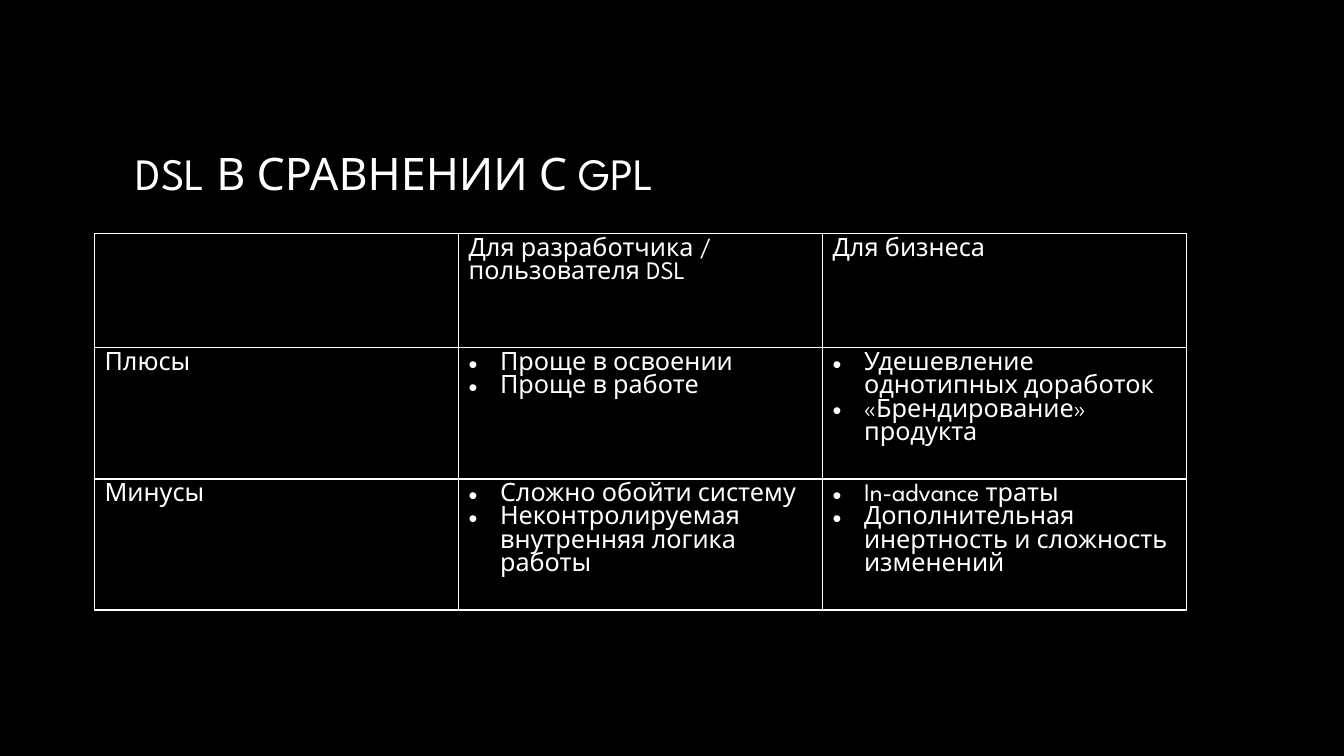
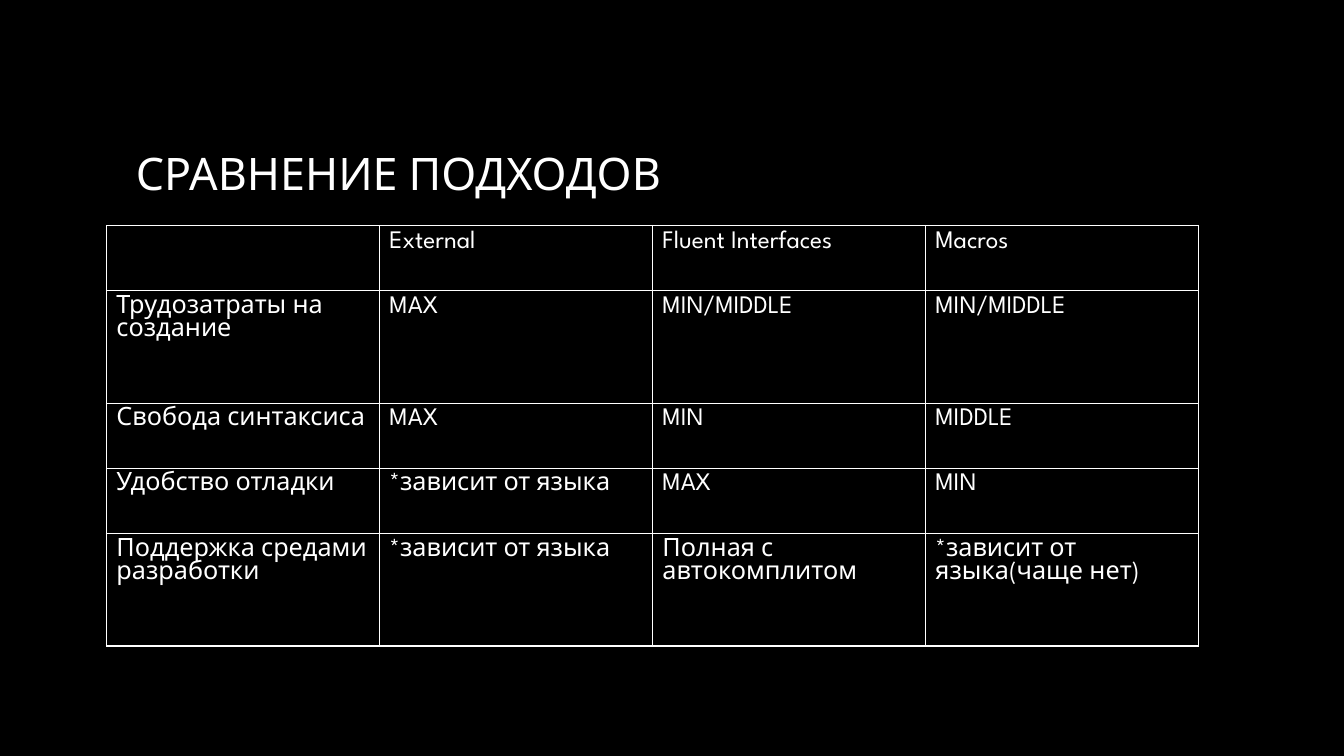
from lxml.etree import SubElement
from pptx import Presentation
from pptx.dml.color import RGBColor
from pptx.enum.text import MSO_ANCHOR
from pptx.oxml.ns import qn
from pptx.util import Pt

BLACK = RGBColor(0x00, 0x00, 0x00)
WHITE = RGBColor(0xFF, 0xFF, 0xFF)
GREY = RGBColor(0xA6, 0xA6, 0xA6)
FONT = "League Spartan"
TABLE_WIDTH = 780
BULLET_INDENT = Pt(22.5)

# Cells holding a tuple are bulleted lists.
DSL_VS_GPL = [
    ["", "Для разработчика / пользователя DSL", "Для бизнеса"],
    ["Плюсы",
     ("Проще в освоении", "Проще в работе"),
     ("Удешевление однотипных доработок", "«Брендирование» продукта")],
    ["Минусы",
     ("Сложно обойти систему", "Неконтролируемая внутренняя логика работы"),
     ("In-advance траты", "Дополнительная инертность и сложность изменений")],
]
APPROACHES = [
    ["", "External", "Fluent Interfaces", "Macros"],
    ["Трудозатраты на создание", "MAX", "MIN/MIDDLE", "MIN/MIDDLE"],
    ["Свобода синтаксиса", "MAX", "MIN", "MIDDLE"],
    ["Удобство отладки", "*зависит от языка", "MAX", "MIN"],
    ["Поддержка средами разработки", "*зависит от языка",
     "Полная с автокомплитом", "*зависит от языка(чаще нет)"],
]


def add_title(slide, text):
    frame = slide.shapes.add_textbox(Pt(90), Pt(48), Pt(780), Pt(150)).text_frame
    frame.word_wrap = True
    frame.vertical_anchor = MSO_ANCHOR.MIDDLE
    run = frame.paragraphs[0].add_run()
    run.text = text
    run.font.name, run.font.size = FONT, Pt(32)
    fill = run.font.fill
    fill.gradient()
    fill.gradient_angle = 267
    for stop, colour in zip(fill.gradient_stops, (WHITE, GREY)):
        stop.color.rgb = colour


def add_bullet(paragraph):
    props = paragraph._p.get_or_add_pPr()
    props.set("marL", str(BULLET_INDENT))
    props.set("indent", str(-BULLET_INDENT))
    SubElement(props, qn("a:buFont"), typeface="Arial")
    SubElement(props, qn("a:buChar"), char="•")


def add_borders(cell):
    props = cell._tc.get_or_add_tcPr()
    for side in ("lnL", "lnR", "lnT", "lnB"):
        line = SubElement(props, qn(f"a:{side}"), w=str(Pt(1)))
        fill = SubElement(line, qn("a:solidFill"))
        SubElement(fill, qn("a:srgbClr"), val=str(WHITE))


def fill_cell(cell, content):
    add_borders(cell)
    cell.fill.background()
    bulleted = isinstance(content, tuple)
    lines = content if bulleted else (content,)
    cell.text = "\n".join(lines)
    for paragraph in cell.text_frame.paragraphs:
        font = paragraph.font
        font.name, font.size = FONT, Pt(18)
        font.color.rgb = WHITE
        if bulleted:
            add_bullet(paragraph)


def add_grid(slide, rows, left, top, heights):
    columns = len(rows[0])
    table = slide.shapes.add_table(len(rows), columns, Pt(left), Pt(top),
                                   Pt(TABLE_WIDTH), Pt(sum(heights))).table
    table.first_row = table.horz_banding = False
    for column in table.columns:
        column.width = Pt(TABLE_WIDTH / columns)
    for row, height, contents in zip(table.rows, heights, rows):
        row.height = Pt(height)
        for cell, content in zip(row.cells, contents):
            fill_cell(cell, content)


def main():
    prs = Presentation()
    prs.slide_width, prs.slide_height = Pt(960), Pt(540)
    background = prs.slide_master.background.fill
    background.solid()
    background.fore_color.rgb = BLACK

    low, high = 46.5, 80.5
    for title, rows, left, top, heights in (
        ("DSL В СРАВНЕНИИ С GPL", DSL_VS_GPL, 67.5, 167, [81.5] * 3),
        ("СРАВНЕНИЕ ПОДХОДОВ", APPROACHES, 76, 161, [low, high, low, low, high]),
    ):
        slide = prs.slides.add_slide(prs.slide_layouts[6])
        add_title(slide, title)
        add_grid(slide, rows, left, top, heights)
    prs.save("out.pptx")


if __name__ == "__main__":
    main()
